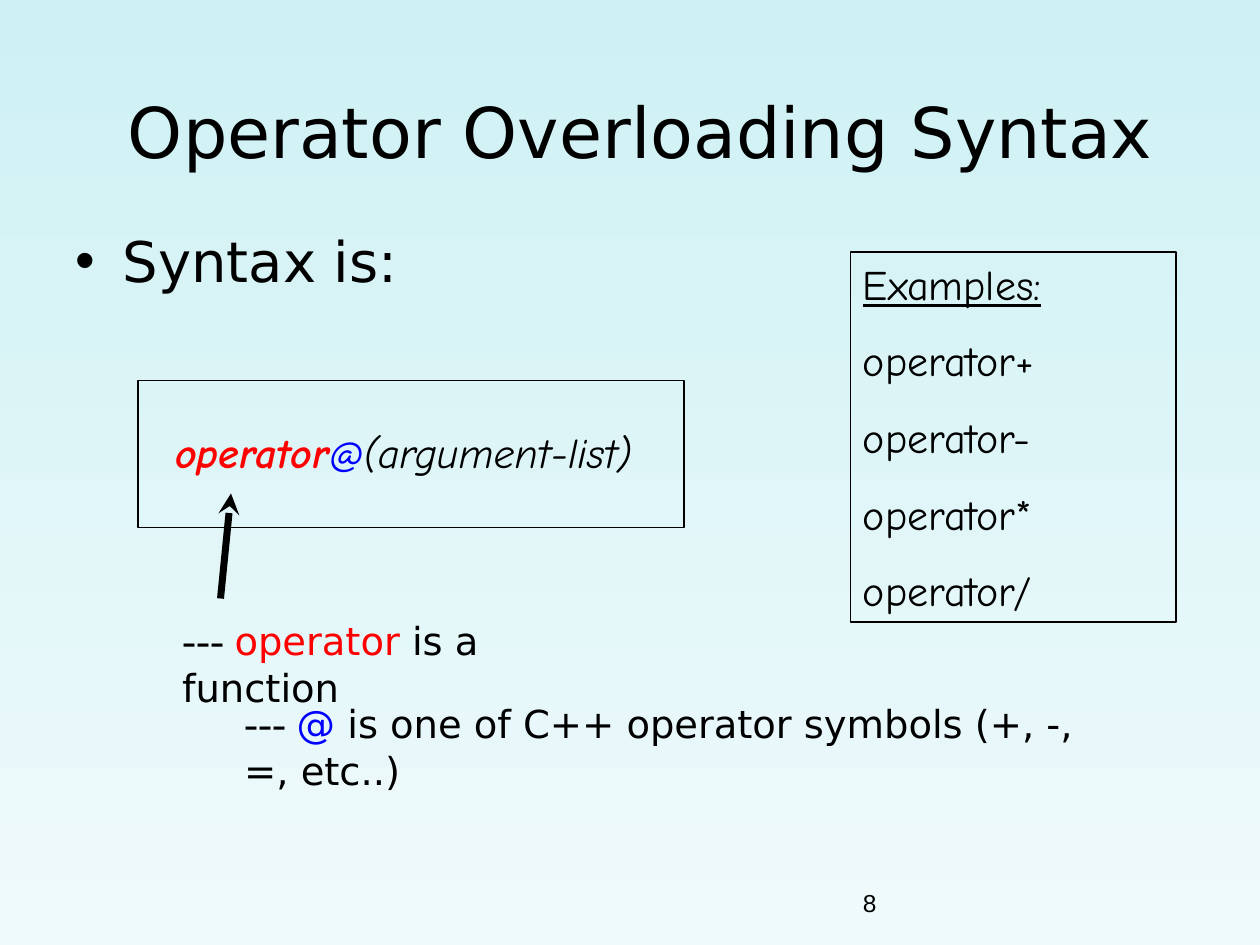
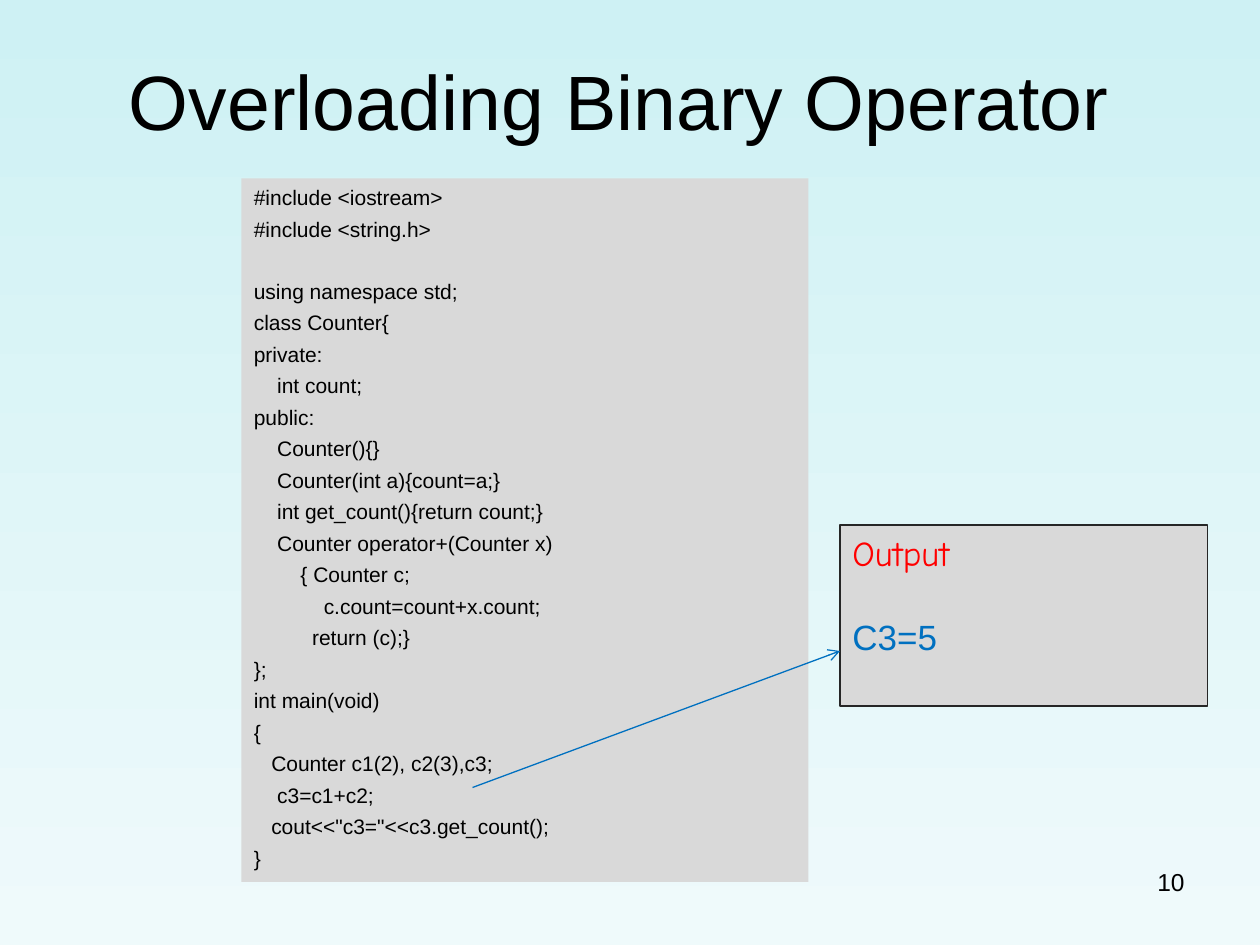
from lxml import etree
from pptx import Presentation, util as u
from pptx.dml.color import RGBColor
from pptx.enum import shapes, text
from pptx.oxml.ns import qn

Pt = u.Pt
BLACK, RED, BLUE, ACCENT = "000000", "FF0000", "0000FF", "0070C0"
PANEL, EDGE = "D9D9D9", "262626"
BACKGROUND = ("CEF1F4", "EFFAFB")
ARIAL, COMIC, SANS, SERIF = "Arial", "Comic Neue", "DejaVu Sans", "Times New Roman"

# Content: a run is (text, size, font, colour, styles), a paragraph a list of runs
SYNTAX_TITLE = ("Operator Overloading Syntax", 40, SANS, BLACK)
BINARY_TITLE = ("Overloading Binary Operator", 44, ARIAL, BLACK)
SYNTAX_POINT = ("Syntax is:", 32, SANS, BLACK)
FORMULA = [("operator", 24, COMIC, RED, "bi"), ("@", 24, COMIC, BLUE, "i"),
           ("(argument-list)", 24, COMIC, BLACK, "i")]
NOTES = [  # place, term, colour, explanation
    ((97, 347, 266.5, 36), "operator", RED, " is a function"),
    ((132.5, 394.5, 518.5, 36), "@", BLUE,
     " is one of C++ operator symbols (+, -, =, etc..)"),
]
SYMBOLS = "+-*/"
CODE = [  # indent in spaces, line; None leaves a gap
    (0, "#include <iostream>"),
    (0, "#include <string.h>"),
    None,
    (0, "using namespace std;"),
    (0, "class Counter{"),
    (0, "private:"),
    (4, "int count;"),
    (0, "public:"),
    (4, "Counter(){}"),
    (4, "Counter(int a){count=a;}"),
    (4, "int get_count(){return count;}"),
    (4, "Counter operator+(Counter x)"),
    (8, "{ Counter c;"),
    (12, "c.count=count+x.count;"),
    (10, "return (c);}"),
    (0, "};"),
    (0, "int main(void)"),
    (0, "{"),
    (3, "Counter c1(2), c2(3),c3;"),
    (4, "c3=c1+c2;"),
    (3, 'cout<<"c3="<<c3.get_count();'),
    (0, "}"),
]
CODE_SPACE, CODE_GAP, CODE_LINE = 3.33, 3.6, 17.4
OUTPUT = [("Output", 20, COMIC, RED), ("C3=5", 20, ARIAL, ACCENT)]


def rgb(value):
    return RGBColor.from_string(value)


def points(values):
    return [Pt(v) for v in values]


def add_run(p, content, size, font, color, styles=""):
    r = p.add_run()
    r.text = content
    r.font.size, r.font.name = Pt(size), font
    r.font.color.rgb = rgb(color)
    r.font.bold, r.font.italic, r.font.underline = (k in styles for k in "biu")


def write(sp, paragraphs, before=0, align=text.PP_ALIGN.LEFT,
          anchor=text.MSO_ANCHOR.TOP):
    """Fill a shape with paragraphs and return them."""
    tf = sp.text_frame
    tf.word_wrap, tf.auto_size = True, text.MSO_AUTO_SIZE.NONE
    tf.vertical_anchor = anchor
    for i, runs in enumerate(paragraphs):
        p = tf.paragraphs[0] if i == 0 else tf.add_paragraph()
        p.alignment, p.space_before = align, Pt(before)
        for run in runs:
            add_run(p, *run)
    return tf.paragraphs


def indent(p, left, first=0):
    pPr = p._p.get_or_add_pPr()
    pPr.set("marL", str(Pt(left)))
    pPr.set("indent", str(Pt(first)))
    return pPr


def add_text(s, box, paragraphs, **options):
    return write(s.shapes.add_textbox(*points(box)), paragraphs, **options)


def add_box(s, box, fill=None, line=None, width=0.75):
    sp = s.shapes.add_shape(shapes.MSO_SHAPE.RECTANGLE, *points(box))
    sp.shadow.inherit = False
    for part, color in ((sp.fill, fill), (sp.line.fill, line)):
        if color:
            part.solid()
            part.fore_color.rgb = rgb(color)
        else:
            part.background()
    if line:
        sp.line.width = Pt(width)
    return sp


def add_arrow(s, start, end, color, width, head):
    c = s.shapes.add_connector(shapes.MSO_CONNECTOR.STRAIGHT, *points(start + end))
    c.line.color.rgb, c.line.width = rgb(color), Pt(width)
    etree.SubElement(c.line._get_or_add_ln(), qn("a:tailEnd"), type=head)
    etree.SubElement(c._element.spPr, qn("a:effectLst"))


def add_slide(prs, title, title_box, anchor):
    s = prs.slides.add_slide(prs.slide_layouts[5])
    sp = s.shapes.title
    sp.left, sp.top, sp.width, sp.height = points(title_box)
    write(sp, [[title]], align=text.PP_ALIGN.CENTER, anchor=anchor)
    return s


def add_number(s, number, box, align):
    add_text(s, box, [[(number, 14, ARIAL, BLACK)]], align=align)


def syntax_slide(prs):
    s = add_slide(prs, SYNTAX_TITLE, (60, 12, 612, 90), text.MSO_ANCHOR.BOTTOM)
    add_number(s, "8", (486, 504, 150, 18), text.PP_ALIGN.LEFT)

    # Bulleted point
    p = add_text(s, (36, 126, 648, 356), [[SYNTAX_POINT]], before=8)[0]
    pPr = indent(p, 27, -27)
    etree.SubElement(pPr, qn("a:buFont"), typeface=ARIAL)
    etree.SubElement(pPr, qn("a:buChar"), char="•")

    # Framed formula with its explanations
    add_text(s, (93, 240, 277, 36), [FORMULA])
    add_box(s, (79, 217.5, 312, 84), line=BLACK, width=1)
    for box, term, color, explanation in NOTES:
        add_text(s, box, [[("--- ", 24, SERIF, BLACK), (term, 22, SANS, color),
                           (explanation, 22, SANS, BLACK)]])
    add_arrow(s, (126, 342), (132, 282), BLACK, 4, "stealth")

    # Examples
    examples = [[("Examples:", 24, COMIC, BLACK, "u")]]
    examples += [[("operator" + symbol, 24, COMIC, BLACK)] for symbol in SYMBOLS]
    write(add_box(s, (486, 144, 186, 211.5), line=BLACK), examples, before=15)


def binary_slide(prs):
    s = add_slide(prs, BINARY_TITLE, (30, 12, 648, 90), text.MSO_ANCHOR.MIDDLE)

    # Code panel
    lines = [line for line in CODE if line]
    panel = add_box(s, (138, 102, 324, 402), fill=PANEL)
    paragraphs = write(panel, [[(code, 12, ARIAL, BLACK)] for _, code in lines],
                       before=CODE_GAP)
    for p, (spaces, _) in zip(paragraphs, lines):
        indent(p, spaces * CODE_SPACE)
    paragraphs[CODE.index(None)].space_before = Pt(CODE_GAP + CODE_LINE)

    add_number(s, "10", (516, 492, 168, 37), text.PP_ALIGN.RIGHT)

    # Output
    output = add_box(s, (480, 300, 210, 103.5), fill=PANEL, line=EDGE)
    write(output, [[run] for run in OUTPUT])[1].space_before = Pt(24)
    add_arrow(s, (270, 450), (480, 372), ACCENT, 0.75, "arrow")


def main():
    prs = Presentation()
    prs.slide_width, prs.slide_height = Pt(720), Pt(540)
    fill = prs.slide_master.background.fill
    fill.gradient()
    fill.gradient_angle = 270
    for stop, color in zip(fill.gradient_stops, BACKGROUND):
        stop.color.rgb = rgb(color)
    syntax_slide(prs)
    binary_slide(prs)
    prs.save("out.pptx")


if __name__ == "__main__":
    main()
